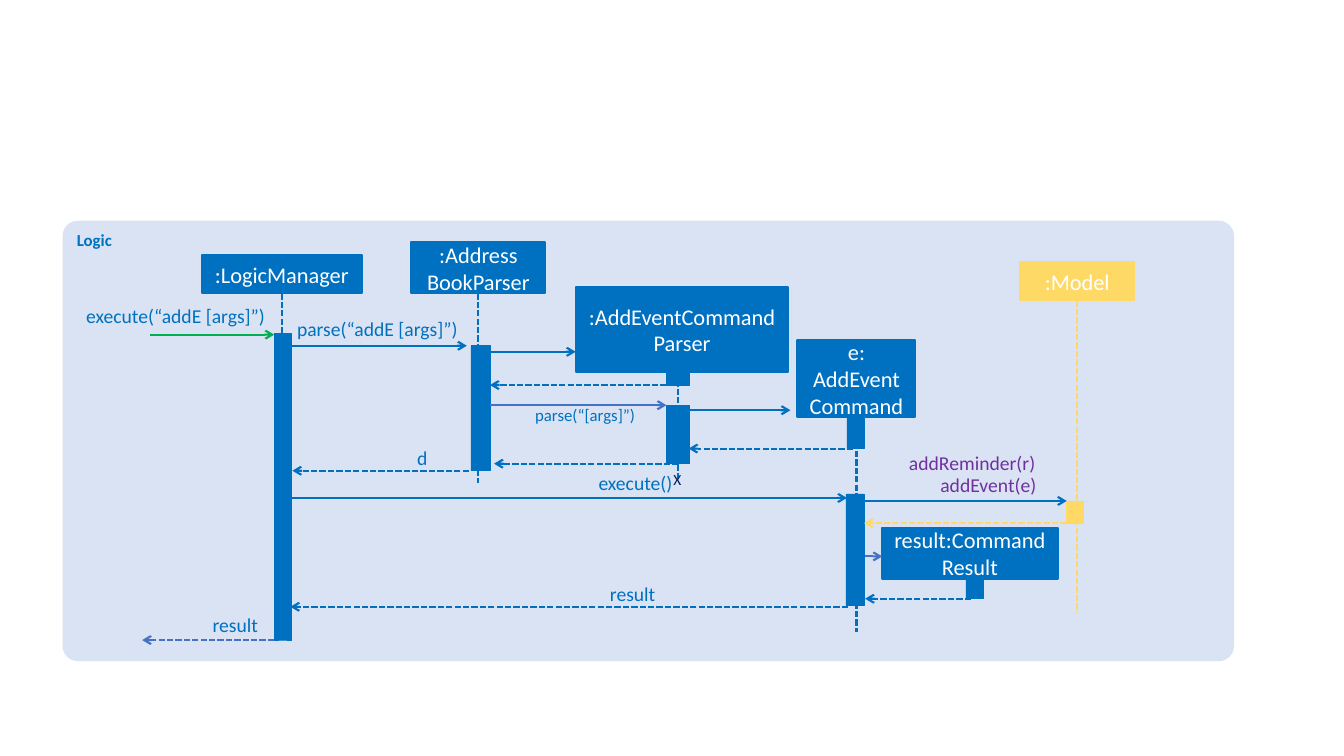
import copy

import pptx
import pptx.dml.color
import pptx.enum.dml
import pptx.enum.shapes
import pptx.enum.text
import pptx.oxml
import pptx.oxml.ns
import pptx.util

RGBColor = pptx.dml.color.RGBColor
BLUE = RGBColor(0x00, 0x70, 0xC0)
INDIGO = RGBColor(0x44, 0x72, 0xC4)
PALE = RGBColor(0xDA, 0xE3, 0xF3)
GOLD = RGBColor(0xFF, 0xD9, 0x66)
GREEN = RGBColor(0x00, 0xB0, 0x50)
PURPLE = RGBColor(0x70, 0x30, 0xA0)
NAVY = RGBColor(0x00, 0x20, 0x60)
WHITE = RGBColor(0xFF, 0xFF, 0xFF)

MSO_SHAPE = pptx.enum.shapes.MSO_SHAPE
PP_ALIGN = pptx.enum.text.PP_ALIGN
MSO_ANCHOR = pptx.enum.text.MSO_ANCHOR
BOTTOM, TOP = 2, 0


def px(n):
    return pptx.util.Emu(n * 9144)


def write(tf, text, size=14, color=BLUE, bold=False, align=PP_ALIGN.RIGHT,
          anchor=MSO_ANCHOR.TOP, wrap=True):
    tf.word_wrap = wrap
    tf.vertical_anchor = anchor
    tf.text = text
    for p in tf.paragraphs:
        p.alignment = align
        for r in p.runs:
            r.font.name = "Calibri"
            r.font.size = pptx.util.Pt(size)
            r.font.bold = bold
            r.font.color.rgb = color
        for br in p._p.findall(pptx.oxml.ns.qn("a:br")):
            br.append(copy.deepcopy(p.runs[0]._r.rPr))


class SequenceDiagram:
    def __init__(self, slide):
        self.s = slide

    def block(self, x, y, w, h, color=BLUE, line=0.5, kind=MSO_SHAPE.RECTANGLE):
        sp = self.s.shapes.add_shape(kind, px(x), px(y), px(w), px(h))
        sp.shadow.inherit = False
        sp.fill.solid()
        sp.fill.fore_color.rgb = color
        if line:
            sp.line.color.rgb = color
            sp.line.width = pptx.util.Pt(line)
        else:
            sp.line.fill.background()
        return sp

    def frame(self, x, y, w, h, title):
        sp = self.block(x, y, w, h, PALE, 0, MSO_SHAPE.ROUNDED_RECTANGLE)
        sp.adjustments[0] = 0.035
        write(sp.text_frame, title, size=12, bold=True, align=PP_ALIGN.LEFT)

    def participant(self, x, y, w, h, name, color=BLUE):
        sp = self.block(x, y, w, h, color, 1.5)
        write(sp.text_frame, name, size=16, color=WHITE,
              align=PP_ALIGN.CENTER, anchor=MSO_ANCHOR.MIDDLE)
        return sp

    def connector(self, x1, y1, x2, y2, color, dashed):
        cx = self.s.shapes.add_connector(
            pptx.enum.shapes.MSO_CONNECTOR.STRAIGHT, x1, y1, x2, y2)
        cx.line.color.rgb = color
        cx.line.width = pptx.util.Pt(1.5)
        if dashed:
            cx.line.dash_style = pptx.enum.dml.MSO_LINE.SQUARE_DOT
        cx._element.spPr.append(pptx.oxml.parse_xml(
            "<a:effectLst %s/>" % pptx.oxml.ns.nsdecls("a")))
        return cx

    def lifeline(self, sp, end, color=BLUE, site=BOTTOM):
        x = sp.left + sp.width // 2
        y = sp.top + (sp.height if site == BOTTOM else 0)
        cx = self.connector(x, y, x, px(end), color, True)
        cx.begin_connect(sp, site)

    def message(self, x1, x2, y, color=BLUE):
        cx = self.connector(px(x1), px(y), px(x2), px(y), color, x2 < x1)
        cx.line._get_or_add_ln().append(pptx.oxml.parse_xml(
            '<a:tailEnd type="arrow" %s/>' % pptx.oxml.ns.nsdecls("a")))

    def label(self, x, y, w, h, text, inset=0, **fmt):
        tb = self.s.shapes.add_textbox(px(x), px(y), px(w), px(h))
        tf = tb.text_frame
        if not inset:
            tf.margin_left = tf.margin_right = 0
            tf.margin_top = tf.margin_bottom = 0
        write(tf, text, **fmt)
        tf.auto_size = pptx.enum.text.MSO_AUTO_SIZE.SHAPE_TO_FIT_TEXT


def main():
    prs = pptx.Presentation()
    prs.slide_width, prs.slide_height = px(1333), px(750)
    d = SequenceDiagram(prs.slides.add_slide(prs.slide_layouts[6]))

    d.frame(62, 219, 1162, 437, "Logic")

    manager = d.participant(200, 253, 159, 38, ":LogicManager")
    book_parser = d.participant(408, 240, 133, 51, ":Address\nBookParser")
    d.participant(571, 285, 211, 84, ":AddEventCommand\nParser")
    command = d.participant(791, 337, 117, 77, "e: AddEvent\vCommand")
    d.participant(875, 524, 174, 50, "result:Command Result")
    model = d.participant(1012, 260, 113, 38, ":Model", GOLD)
    event_parser_start = d.block(661, 369, 23, 13)

    d.lifeline(manager, 577)
    d.lifeline(book_parser, 479)
    d.lifeline(event_parser_start, 477, site=TOP)
    d.lifeline(command, 627)
    d.lifeline(model, 607, GOLD)

    for x, y, w, h, color in [
        (272, 331, 17, 304, BLUE),
        (467, 343, 19, 124, BLUE),
        (661, 402, 23, 58, BLUE),
        (840, 415, 17, 30, BLUE),
        (839, 490, 18, 111, BLUE),
        (958, 575, 17, 19, BLUE),
        (1058, 497, 17, 22, GOLD),
    ]:
        d.block(x, y, w, h, color)

    for x1, x2, y, color in [
        (149, 272, 332, GREEN),
        (288, 463, 343, BLUE),
        (481, 571, 349, BLUE),
        (661, 486, 382, BLUE),
        (486, 661, 402, INDIGO),
        (683, 784, 407, BLUE),
        (846, 683, 445, BLUE),
        (673, 490, 460, BLUE),
        (465, 290, 467, BLUE),
        (288, 840, 494, BLUE),
        (857, 1058, 497, BLUE),
        (1058, 857, 519, GOLD),
        (858, 875, 552, INDIGO),
        (963, 858, 594, BLUE),
        (841, 288, 602, BLUE),
        (272, 141, 635, INDIGO),
    ]:
        d.message(x1, x2, y, color)

    for x, y, w, text, color in [
        (62, 302, 201, "execute(“addE [args]”)", BLUE),
        (272, 314, 182, "parse(“addE [args]”)", BLUE),
        (400, 442, 24, "d", BLUE),
        (573, 467, 94, "execute()", BLUE),
        (871, 447, 156, "addReminder(r)", PURPLE),
        (872, 469, 156, "addEvent(e)", PURPLE),
        (582, 577, 68, "result", BLUE),
        (173, 608, 83, "result", BLUE),
    ]:
        d.label(x, y, w, 24, text, color=color)
    d.label(528, 402, 102, 20, "parse(“[args]”)", size=12)
    d.label(658, 461, 28, 29, "X", inset=1, size=11, color=NAVY,
            align=PP_ALIGN.LEFT, wrap=False)

    prs.save("out.pptx")


if __name__ == "__main__":
    main()
